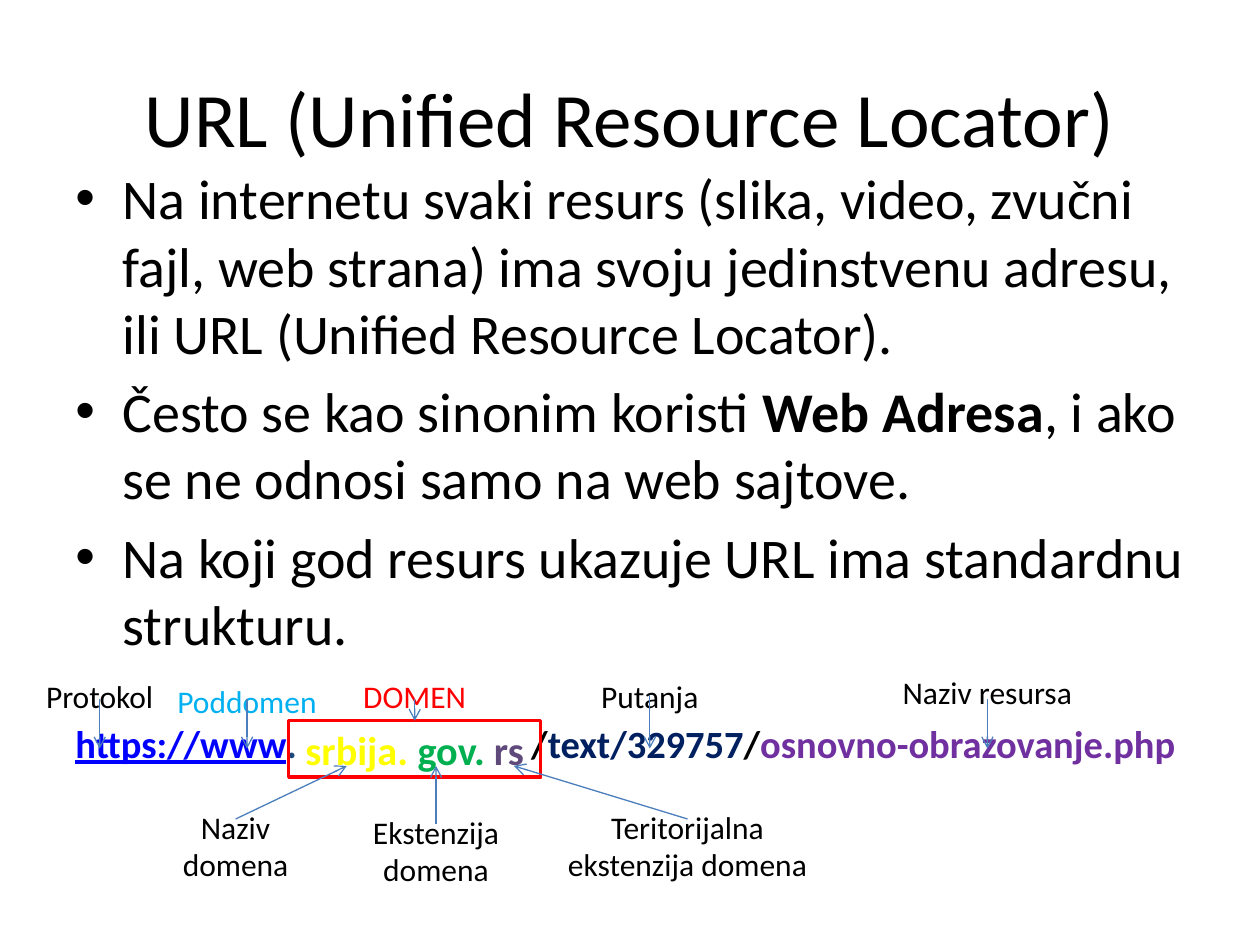
from dataclasses import dataclass
from typing import Optional

import pptx
import pptx.dml.color
import pptx.enum.shapes
import pptx.enum.text
import pptx.oxml.ns
import pptx.util
from lxml import etree
from pptx.util import Cm, Pt

FONT = "Calibri"
BLACK = "000000"
RED = "FF0000"
ARROW_BLUE = "4B7EBC"
LABEL_HEIGHT = 1.07
TOP, BOTTOM_TIP = 0, 15.44
CENTER = pptx.enum.text.PP_ALIGN.CENTER
MIDDLE = pptx.enum.text.MSO_ANCHOR.MIDDLE


@dataclass
class Run:
    text: str
    color: str = BLACK
    bold: bool = False
    underline: bool = False


@dataclass
class Label:
    """A caption and its arrow, in centimetres."""
    text: str
    left: float
    top: float
    width: float
    tip_y: float
    tip_x: Optional[float] = None    # None: straight below the caption's centre
    start_y: Optional[float] = None  # None: joined to the caption's top side
    color: str = BLACK


BULLETS = [
    [Run("Na internetu svaki resurs (slika, video, zvučni fajl, web strana) ima "
         "svoju jedinstvenu adresu, ili URL (Unified Resource Locator).")],
    [Run("Često se kao sinonim koristi "), Run("Web Adresa", bold=True),
     Run(", i ako se ne odnosi samo na web sajtove.")],
    [Run("Na koji god resurs ukazuje URL ima standardnu strukturu.")],
]
ADDRESS = [
    Run("https://www", "0000FF", True, True),
    Run(".\t", "1F497D", True),
    Run("/", BLACK, True),
    Run("text/329757", "002060", True),
    Run("/", BLACK, True),
    Run("osnovno-obrazovanje.php", "7030A0", True),
]
DOMAIN = [Run("srbija. ", "FFFF00", True), Run("gov. ", "00B050", True),
          Run("rs", "604A7B", True)]
DOMAIN_LABEL = Label("DOMEN", 6.99, 13.49, 2.74, 14.53, start_y=14.1, color=RED)
LABELS = [
    Label("Protokol", 0.64, 13.49, 2.74, 15.09, start_y=14.1),
    Label("Poddomen", 3.18, 13.59, 3.6, 15.09, start_y=14.1, color="00B0F0"),
    DOMAIN_LABEL,
    Label("Putanja", 11.73, 13.49, 2.74, 15.09, start_y=14.02),
    Label("Naziv resursa", 17.58, 13.41, 4.65, 15.09, start_y=14.1),
    Label("Naziv domena", 3.38, 16.51, 2.74, BOTTOM_TIP, tip_x=6.99),
    Label("Ekstenzija domena", 6.99, 16.61, 3.6, BOTTOM_TIP),
    Label("Teritorijalna ekstenzija domena", 10.9, 16.51, 5.92, BOTTOM_TIP, tip_x=10.36),
]


def rgb(color: str) -> pptx.dml.color.RGBColor:
    return pptx.dml.color.RGBColor.from_string(color)


def add_element(parent, tag: str, **attributes: str):
    return etree.SubElement(parent, pptx.oxml.ns.qn(tag), attributes)


def add_runs(paragraph, runs: list[Run], size: float) -> None:
    for item in runs:
        run = paragraph.add_run()
        run.text = item.text
        run.font.name = FONT
        run.font.size = Pt(size)
        run.font.bold = item.bold
        run.font.underline = item.underline
        run.font.color.rgb = rgb(item.color)


def add_text_box(slide, left: float, top: float, width: float, height: float):
    shape = slide.shapes.add_textbox(Cm(left), Cm(top), Cm(width), Cm(height))
    shape.text_frame.word_wrap = True
    return shape


def center_text(shape, runs: list[Run], size: float) -> None:
    shape.text_frame.vertical_anchor = MIDDLE
    paragraph = shape.text_frame.paragraphs[0]
    paragraph.alignment = CENTER
    add_runs(paragraph, runs, size)


def add_body(slide) -> None:
    frame = add_text_box(slide, 1.27, 3.18, 22.86, 15.04).text_frame
    for index, runs in enumerate(BULLETS):
        paragraph = frame.add_paragraph() if index else frame.paragraphs[0]
        paragraph.space_before = Pt(6.4)
        properties = paragraph._p.get_or_add_pPr()
        indent = Cm(0.95)
        properties.set("marL", str(indent))
        properties.set("indent", str(-indent))
        add_element(properties, "a:buFont", typeface="Arial")
        add_element(properties, "a:buChar", char="•")
        add_runs(paragraph, runs, 32)

    # The address leaves room for the domain box with a tab stop
    paragraph = frame.add_paragraph()
    paragraph.space_before = Pt(36)
    tabs = add_element(paragraph._p.get_or_add_pPr(), "a:tabLst")
    add_element(tabs, "a:tab", pos=str(Cm(9.19)), algn="l")
    add_runs(paragraph, ADDRESS, 22)


def add_domain_box(slide):
    shape = slide.shapes.add_shape(pptx.enum.shapes.MSO_SHAPE.RECTANGLE,
                                   Cm(5.82), Cm(14.53), Cm(5.08), Cm(1.14))
    shape.shadow.inherit = False
    shape.fill.background()
    shape.line.color.rgb = rgb(RED)
    shape.line.width = Pt(2)
    shape.text_frame.word_wrap = False
    center_text(shape, DOMAIN, 23)
    return shape


def add_arrow(slide, label: Label, caption, target=None) -> None:
    center = label.left + label.width / 2
    tip_x = center if label.tip_x is None else label.tip_x
    start_y = label.top if label.start_y is None else label.start_y
    connector = slide.shapes.add_connector(
        pptx.enum.shapes.MSO_CONNECTOR.STRAIGHT,
        Cm(center), Cm(start_y), Cm(tip_x), Cm(label.tip_y))
    if label.start_y is None:
        connector.begin_connect(caption, TOP)
    if target is not None:
        connector.end_connect(target, TOP)
    connector.line.color.rgb = rgb(ARROW_BLUE)
    connector.line.width = Pt(0.75)
    properties = connector.element.spPr
    add_element(properties.find(pptx.oxml.ns.qn("a:ln")), "a:tailEnd", type="arrow")
    add_element(properties, "a:effectLst")


def main() -> None:
    presentation = pptx.Presentation()
    presentation.slide_width = Cm(25.4)
    presentation.slide_height = Cm(19.05)
    slide = presentation.slides.add_slide(presentation.slide_layouts[6])

    # Title and body
    title = add_text_box(slide, 1.27, 0.76, 22.86, 3.18)
    center_text(title, [Run("URL (Unified Resource Locator)")], 44)
    add_body(slide)

    # Captions around the address
    captions = []
    for label in LABELS:
        caption = add_text_box(slide, label.left, label.top, label.width, LABEL_HEIGHT)
        center_text(caption, [Run(label.text, label.color)], 18)
        captions.append(caption)

    # Domain box and arrows
    domain_box = add_domain_box(slide)
    for label, caption in zip(LABELS, captions):
        add_arrow(slide, label, caption, domain_box if label is DOMAIN_LABEL else None)

    presentation.save("out.pptx")


if __name__ == "__main__":
    main()
